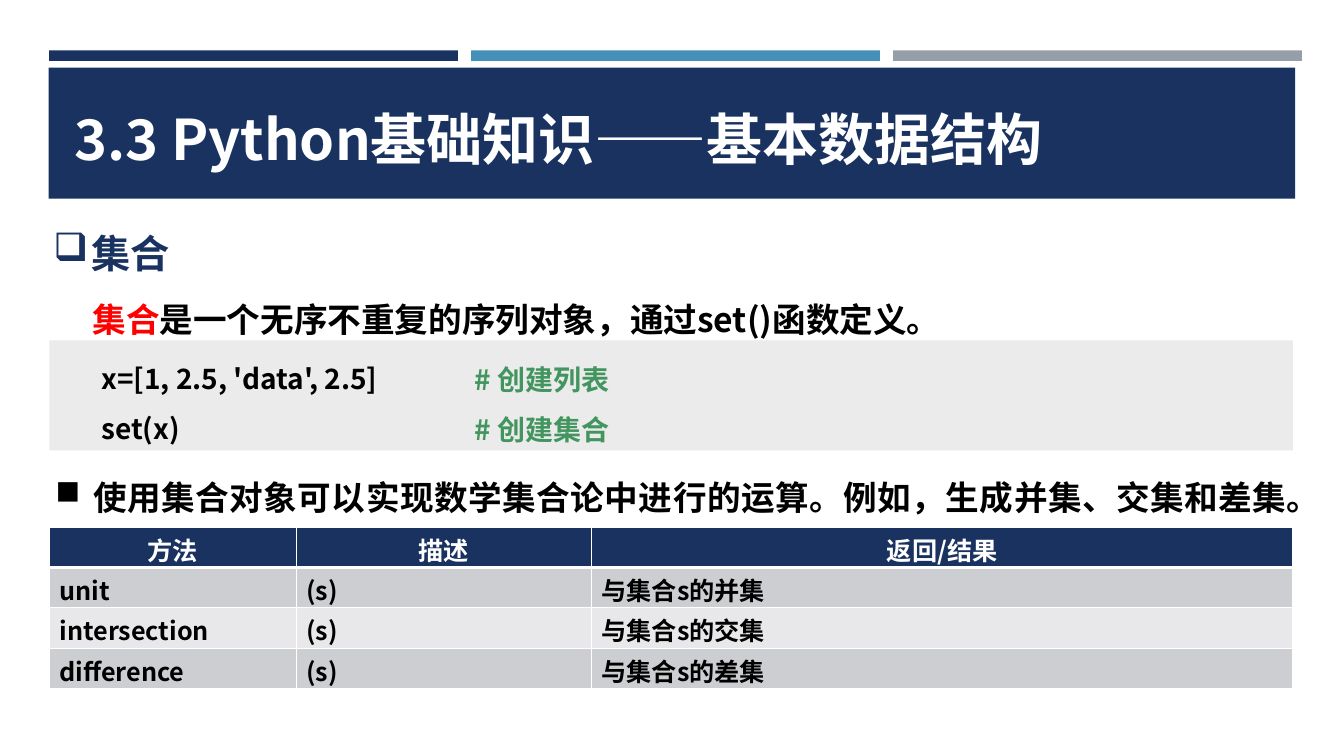
from lxml import etree
from pptx import Presentation
from pptx.dml.color import RGBColor
from pptx.enum import shapes, text
from pptx.oxml.ns import qn
from pptx.util import Pt

FONT = "Noto Sans CJK SC"
COLORS = {
    "navy": "1A3260", "blue": "4590B8", "gray": "969FA7", "panel": "EBEBEB",
    "white": "FFFFFF", "black": "000000", "red": "FF0000", "green": "42955F",
    "odd_row": "CDCED2", "even_row": "E8E8EA",
}


def color(name):
    return RGBColor.from_string(COLORS[name])


def write(content, frame, size=24, ink="black", align=None, spacing=None,
          after=None, bullet=None):
    """Fill a frame: a list of paragraphs, each a list of (text, ink) or a string."""
    frame.word_wrap = True
    for index, spans in enumerate(content):
        para = frame.paragraphs[0] if index == 0 else frame.add_paragraph()
        para.alignment = align
        para.line_spacing = spacing
        para.space_after = after
        if bullet:
            props = para._p.get_or_add_pPr()
            props.set("marL", str(Pt(27)))
            props.set("indent", str(-Pt(27)))
            etree.SubElement(props, qn("a:buChar"), char=bullet)
        for words, span_ink in [(spans, ink)] if isinstance(spans, str) else spans:
            span = para.add_run()
            span.text = words
            span.font.size = Pt(size)
            span.font.bold = True
            span.font.name = FONT
            span.font.color.rgb = color(span_ink)
            etree.SubElement(span._r.get_or_add_rPr(), qn("a:ea"), typeface=FONT)


deck = Presentation()
deck.slide_width, deck.slide_height = Pt(960), Pt(540)
page = deck.slides.add_slide(deck.slide_layouts[6])

# Header strips, title band and code panel
strips = [(35 + 301.5 * i, 36, 292, 7.5, name)
          for i, name in enumerate(["navy", "blue", "gray"])]
for left, top, width, height, name in strips + [
        (34.8, 48.4, 890.4, 93.6, "navy"), (35.3, 243.2, 888.3, 78.5, "panel")]:
    block = page.shapes.add_shape(shapes.MSO_SHAPE.RECTANGLE,
                                  Pt(left), Pt(top), Pt(width), Pt(height))
    block.shadow.inherit = False
    block.fill.solid()
    block.fill.fore_color.rgb = color(name)
    block.line.fill.background()

# Title, section heading, definition, code with remarks, and operations
texts = [
    (46, 71.3, 880, 55.4, ["3.3 Python基础知识——基本数据结构"],
     dict(size=40, ink="white")),
    (31, 143.3, 893, 52, ["集合"],
     dict(size=28, ink="navy", spacing=1.5, after=Pt(12), bullet="❑")),
    (59, 195.8, 858, 46,
     [[("集合", "red"), ("是一个无序不重复的序列对象，通过set()函数定义。", "black")]],
     dict(spacing=1.5)),
    (65.3, 242.6, 260, 75.6, ["x=[1, 2.5, 'data', 2.5]", "set(x)"],
     dict(size=20, spacing=1.5)),
    (332, 243.2, 295, 75.6, ["# 创建列表", "# 创建集合"],
     dict(size=20, ink="green", spacing=1.5)),
    (32.4, 322.6, 894.2, 46,
     ["使用集合对象可以实现数学集合论中进行的运算。例如，生成并集、交集和差集。"],
     dict(spacing=1.5, align=text.PP_ALIGN.JUSTIFY, bullet="■")),
]
for left, top, width, height, content, style in texts:
    box = page.shapes.add_textbox(Pt(left), Pt(top), Pt(width), Pt(height))
    write(content, box.text_frame, **style)

# Table of set methods
rows = [["方法", "描述", "返回/结果"]] + [
    [method, "(s)", f"与集合s的{result}"]
    for method, result in [("unit", "并集"), ("intersection", "交集"), ("difference", "差集")]]
table = page.shapes.add_table(4, 3, Pt(35.3), Pt(376.6), Pt(888.3), Pt(115.2)).table
for column, width in zip(table.columns, [176.4, 210.8, 501.1]):
    column.width = Pt(width)
for r, row in enumerate(rows):
    table.rows[r].height = Pt(28.8)
    for c, words in enumerate(row):
        cell = table.cell(r, c)
        cell.margin_top, cell.margin_bottom = Pt(2.7), Pt(0)
        cell.fill.solid()
        cell.fill.fore_color.rgb = color(
            "navy" if r == 0 else "odd_row" if r % 2 else "even_row")
        write([words], cell.text_frame, size=18, ink="black" if r else "white",
              align=None if r else text.PP_ALIGN.CENTER)
        # White borders, thicker between the header and the body
        for order, side in enumerate(["lnL", "lnR", "lnT", "lnB"]):
            thick = (r, side) in [(0, "lnB"), (1, "lnT")]
            edge = etree.Element(qn(f"a:{side}"), w=str(Pt(3 if thick else 1)))
            paint = etree.SubElement(edge, qn("a:solidFill"))
            etree.SubElement(paint, qn("a:srgbClr"), val=COLORS["white"])
            cell._tc.get_or_add_tcPr().insert(order, edge)

deck.save("out.pptx")
